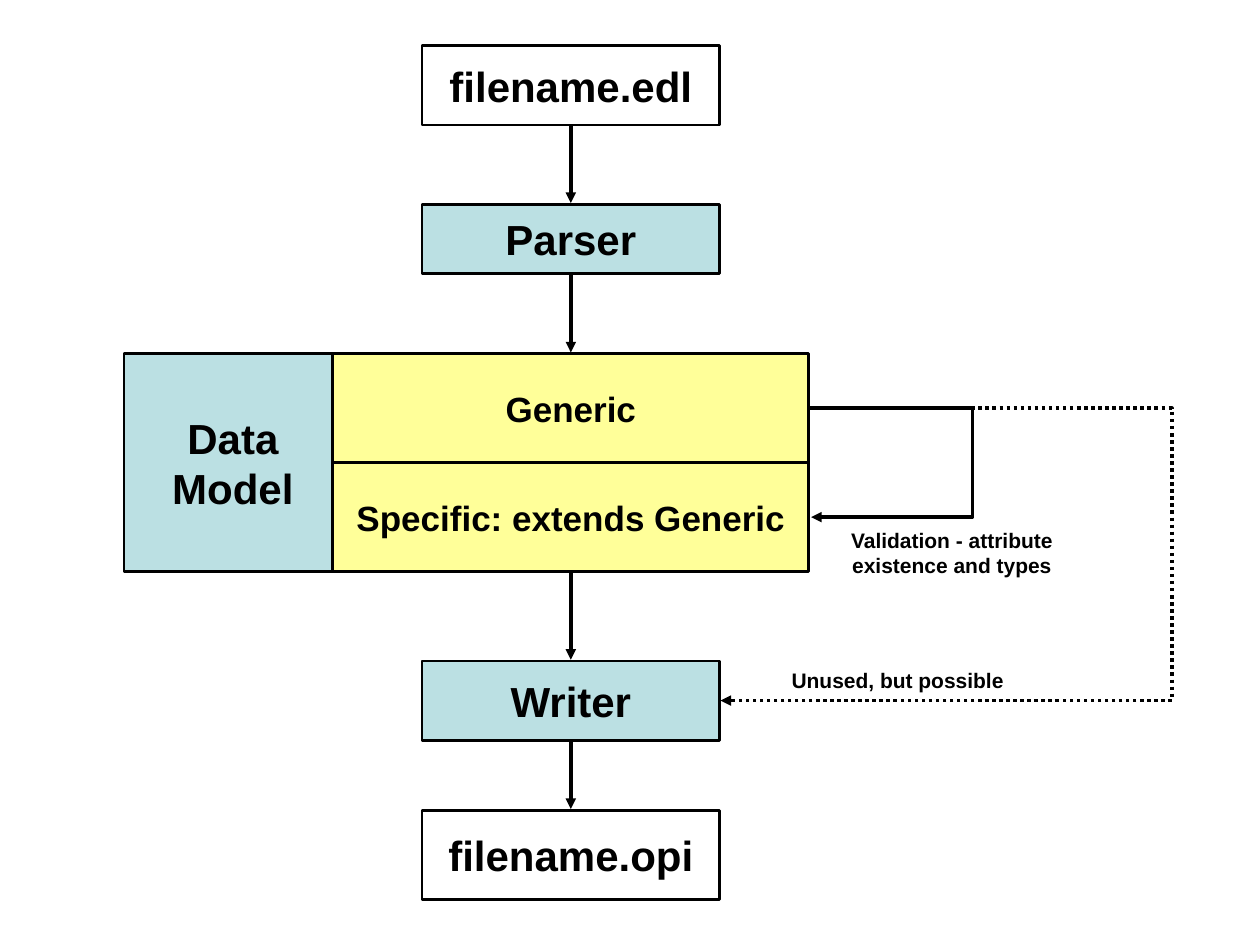
from lxml import etree
from pptx import Presentation
from pptx.dml.color import RGBColor
from pptx.enum.dml import MSO_LINE_DASH_STYLE as Dash
from pptx.enum.shapes import MSO_CONNECTOR as Connector, MSO_SHAPE as Shape
from pptx.enum.text import MSO_ANCHOR as Anchor, MSO_AUTO_SIZE as AutoSize, PP_ALIGN as Align
from pptx.oxml.ns import qn
from pptx.util import Pt

COLORS = {"ink": "000000", "file": "FFFFFF", "stage": "BBE0E3", "model": "FFFF99"}


def write(box, text, size):
    frame = box.text_frame
    frame.word_wrap = True
    para = frame.paragraphs[0]
    para.alignment = Align.CENTER
    para.space_before = Pt(size * 0.625)
    para.space_after = Pt(size * 0.125)
    span = para.add_run()
    span.text = text
    span.font.name = "Arial"
    span.font.size = Pt(size)
    span.font.bold = True
    span.font.color.rgb = RGBColor.from_string(COLORS["ink"])


def add_arrow(kind, x1, y1, x2, y2):
    arrow = page.shapes.add_connector(kind, Pt(x1), Pt(y1), Pt(x2), Pt(y2))
    arrow.line.color.rgb = RGBColor.from_string(COLORS["ink"])
    arrow.line.width = Pt(2)
    properties = arrow.line._get_or_add_ln()
    etree.SubElement(properties, qn("a:tailEnd"), type="triangle")
    etree.SubElement(arrow._element.spPr, qn("a:effectLst"))
    return arrow


deck = Presentation()
deck.slide_width, deck.slide_height = Pt(720), Pt(540)
page = deck.slides.add_slide(deck.slide_layouts[6])

# Boxes: text, colour, size, left, top, width, height
LEFT, WIDTH = 241.2, 170
MODEL_LEFT, MODEL_WIDTH, MODEL_TOP, ROW = 190.2, 272, 202, 62.3
boxes = [
    ("Parser", "stage", 24, LEFT, 116.8, WIDTH, 39.6),
    ("Data Model", "stage", 24, 70.8, MODEL_TOP, 124.5, 2 * ROW),
    ("Generic", "model", 20, MODEL_LEFT, MODEL_TOP, MODEL_WIDTH, ROW),
    ("Specific: extends Generic", "model", 20, MODEL_LEFT, MODEL_TOP + ROW, MODEL_WIDTH, ROW),
    ("Writer", "stage", 24, LEFT, 377.8, WIDTH, 45.3),
    ("filename.edl", "file", 24, LEFT, 26.2, WIDTH, 45.3),
    ("filename.opi", "file", 24, LEFT, 463, WIDTH, 51),
]
for text, color, size, left, top, width, height in boxes:
    box = page.shapes.add_shape(Shape.RECTANGLE, Pt(left), Pt(top), Pt(width), Pt(height))
    box.shadow.inherit = False
    box.fill.solid()
    box.fill.fore_color.rgb = RGBColor.from_string(COLORS[color])
    box.line.color.rgb = RGBColor.from_string(COLORS["ink"])
    box.line.width = Pt(1.5)
    box.text_frame.vertical_anchor = Anchor.MIDDLE
    write(box, text, size)

# Arrows down the main flow
CENTER = LEFT + WIDTH / 2
for start, end in [(72, 116), (157.4, 201.4), (327.4, 377), (424, 462.3)]:
    add_arrow(Connector.STRAIGHT, CENTER, start, CENTER, end)

# Side loops from Generic: end x, end y, x of the turn, dash
START_X, START_Y = 462.5, 233.2
loops = [(463.5, 295.5, 556.5, Dash.SOLID), (411.8, 400.3, 669.6, Dash.ROUND_DOT)]
for end_x, end_y, turn_x, dash in loops:
    loop = add_arrow(Connector.ELBOW, START_X, START_Y, end_x, end_y)
    loop.line.dash_style = dash
    bend = round((turn_x - START_X) / (end_x - START_X) * 100000)
    guides = loop._element.spPr.find(qn("a:prstGeom")).get_or_add_avLst()
    etree.SubElement(guides, qn("a:gd"), name="adj1", fmla=f"val {bend}")

# Loop labels
labels = [
    ("Unused, but possible", 439.2, 378, 147.6, 21.6),
    ("Validation - attribute existence and types", 473, 298.1, 142, 36),
]
for text, left, top, width, height in labels:
    label = page.shapes.add_textbox(Pt(left), Pt(top), Pt(width), Pt(height))
    write(label, text, 12)
    label.text_frame.auto_size = AutoSize.SHAPE_TO_FIT_TEXT

deck.save("out.pptx")
